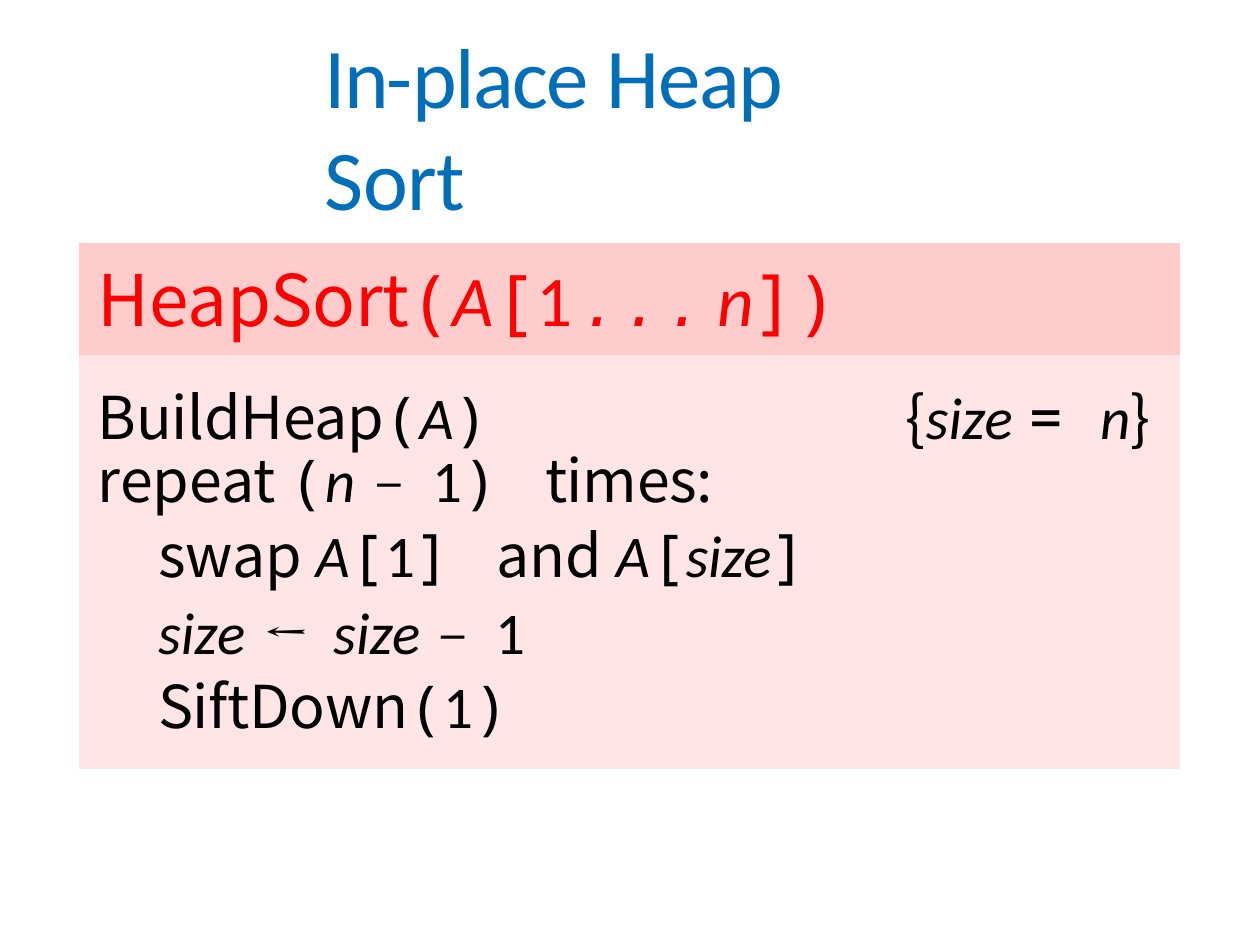
from dataclasses import dataclass

from lxml.etree import SubElement
from pptx import Presentation
from pptx.dml.color import RGBColor
from pptx.enum.text import MSO_ANCHOR, MSO_AUTO_SIZE, PP_ALIGN
from pptx.oxml.ns import qn
from pptx.util import Emu, Pt

EMU_PER_PIXEL = 914400 / 250
BLUE = RGBColor(0x00, 0x6E, 0xB8)
RED = RGBColor(0xFF, 0x00, 0x00)
BLACK = RGBColor(0x00, 0x00, 0x00)
HEADER_PINK = RGBColor(0xFF, 0xCC, 0xCC)
BODY_PINK = RGBColor(0xFF, 0xE5, 0xE5)
CALIBRI = "Calibri"
CAMBRIA = "Cambria"
DEJAVU = "DejaVu Sans"
SANS = "Noto Sans CJK TC"
MONO = "Noto Sans Mono"
NO_TABLE_STYLE = "{2D5ABB26-0587-4C30-8999-92F81FD0307C}"


@dataclass(frozen=True)
class Run:
    text: str
    font: str = CALIBRI
    spacing: float = 0
    italic: bool = False


@dataclass(frozen=True)
class CodeCell:
    runs: tuple[Run, ...] = ()
    indent: int = 19
    top: int = 0
    before: float = 0
    line: float | None = None
    size: float = 17
    color: RGBColor = BLACK
    fill: RGBColor = BODY_PINK


@dataclass(frozen=True)
class CodeRow:
    height: int
    cells: tuple[CodeCell, ...]


def px(pixels: int) -> Emu:
    return Emu(round(pixels * EMU_PER_PIXEL))


def variable(text: str, spacing: float = 0) -> Run:
    return Run(text, CALIBRI, spacing, True)


def gap(font: str, spacing: float) -> Run:
    return Run(" ", font, spacing)


def write_text(paragraph, runs: tuple[Run, ...], *, size: float, color: RGBColor,
               indent: int = 0, before: float = 0, line: float | None = None) -> None:
    paragraph.alignment = PP_ALIGN.LEFT
    paragraph.space_before = Pt(before)
    if line is not None:
        paragraph.line_spacing = Pt(line)
    properties = paragraph._p.get_or_add_pPr()
    properties.set("marL", str(px(indent)))
    properties.set("indent", "0")
    for item in runs:
        run = paragraph.add_run()
        run.text = item.text
        run.font.name = item.font
        run.font.size = Pt(size)
        run.font.italic = item.italic
        run.font.color.rgb = color
        run.font._element.set("spc", str(round(item.spacing * 100)))


def fill_cell(cell, content: CodeCell) -> None:
    cell.fill.solid()
    cell.fill.fore_color.rgb = content.fill
    cell.margin_left = cell.margin_right = cell.margin_bottom = 0
    cell.margin_top = px(content.top)
    paragraph = cell.text_frame.paragraphs[0]
    if content.runs:
        write_text(paragraph, content.runs, size=content.size, color=content.color,
                   indent=content.indent, before=content.before, line=content.line)
    else:
        SubElement(paragraph._p, qn("a:endParaRPr"), sz="1000")


def add_title(slide, runs: tuple[Run, ...]) -> None:
    title = slide.shapes.title
    title.left, title.top, title.width, title.height = px(322), px(18), px(600), px(110)
    frame = title.text_frame
    frame.word_wrap = True
    frame.auto_size = MSO_AUTO_SIZE.SHAPE_TO_FIT_TEXT
    frame.vertical_anchor = MSO_ANCHOR.TOP
    frame.margin_left = frame.margin_right = frame.margin_bottom = 0
    frame.margin_top = px(5)
    write_text(frame.paragraphs[0], runs, size=24.5, color=BLUE, indent=3, before=1.2)


def add_code_table(slide, rows: tuple[CodeRow, ...], widths: tuple[int, ...]) -> None:
    height = sum(row.height for row in rows)
    table = slide.shapes.add_table(len(rows), len(widths), px(79), px(243),
                                   px(sum(widths)), px(height)).table
    table.first_row = table.horz_banding = False
    table._tbl.tblPr.find(qn("a:tableStyleId")).text = NO_TABLE_STYLE
    for column, width in zip(table.columns, widths):
        column.width = px(width)
    for row_index, row in enumerate(rows):
        table.rows[row_index].height = px(row.height)
        for column_index, content in enumerate(row.cells):
            fill_cell(table.cell(row_index, column_index), content)
    table.cell(0, 0).merge(table.cell(0, len(widths) - 1))


TITLE = (Run("In-", spacing=-0.6), Run("place ", spacing=-0.5),
         Run("Heap ", spacing=-0.3), Run("Sort", spacing=-0.2))
SIGNATURE = (Run("HeapSort", SANS, -0.1), Run("(", MONO, -0.1), variable("A", -0.1),
             Run("[", MONO, -0.1), Run("1 ", spacing=-0.1),
             Run(". . . ", DEJAVU, -0.4, True), variable("n", -0.2), Run("])", MONO, -0.2))
BUILD = (Run("BuildHeap", SANS, -0.1), Run("(", MONO, -0.1), variable("A", -0.1),
         Run(")", MONO, -0.1))
SIZE_NOTE = (Run("{", SANS), variable("size"), gap(CALIBRI, 0.6), Run("=", MONO, -1),
             gap(MONO, 0.2), variable("n", -0.2), Run("}", SANS, -0.2))
REPEAT = (Run("repeat ", SANS), Run("(", MONO), variable("n"), gap(CALIBRI, 1.1),
          Run("−", CAMBRIA, 4), gap(CAMBRIA, -0.9), Run("1"), Run(")", MONO),
          gap(MONO, 3.4), Run("times:", SANS, -0.1))
SWAP = (Run("swap ", SANS), variable("A"), Run("[", MONO), Run("1"), Run("]", MONO),
        gap(MONO, 2.9), Run("and ", SANS), variable("A", -0.1), Run("[", MONO, -0.1),
        variable("size", -0.1), Run("]", MONO, -0.1))
SHRINK = (variable("size"), gap(CALIBRI, 1.3), Run("←", CAMBRIA, 2.8), gap(CAMBRIA, 0.2),
          variable("size"), gap(CALIBRI, 0.7), Run("−", CAMBRIA, 4), gap(CAMBRIA, -0.3),
          Run("1", spacing=-0.5))
SIFT = (Run("SiftDown", SANS, -0.1), Run("(", MONO, -0.1), Run("1", spacing=-0.1),
        Run(")", MONO, -0.1))

BLANK = CodeCell()
CODE_ROWS = (
    CodeRow(112, (CodeCell(SIGNATURE, top=1, before=0.5, size=20.5, color=RED,
                           fill=HEADER_PINK),)),
    CodeRow(100, (CodeCell(BUILD, top=16, before=4.9),
                  CodeCell(SIZE_NOTE, indent=96, top=16, before=4.9))),
    CodeRow(75, (CodeCell(REPEAT, line=18.9), BLANK)),
    CodeRow(75, (CodeCell(SWAP, indent=79, line=18.9), BLANK)),
    CodeRow(75, (CodeCell(SHRINK, indent=79, line=18.9), BLANK)),
    CodeRow(89, (CodeCell(SIFT, indent=79, line=19.2), BLANK)),
)

presentation = Presentation()
presentation.slide_width, presentation.slide_height = Pt(363), Pt(272.5)
slide = presentation.slides.add_slide(presentation.slide_layouts[5])
add_title(slide, TITLE)
add_code_table(slide, CODE_ROWS, (731, 370))
presentation.save("out.pptx")
